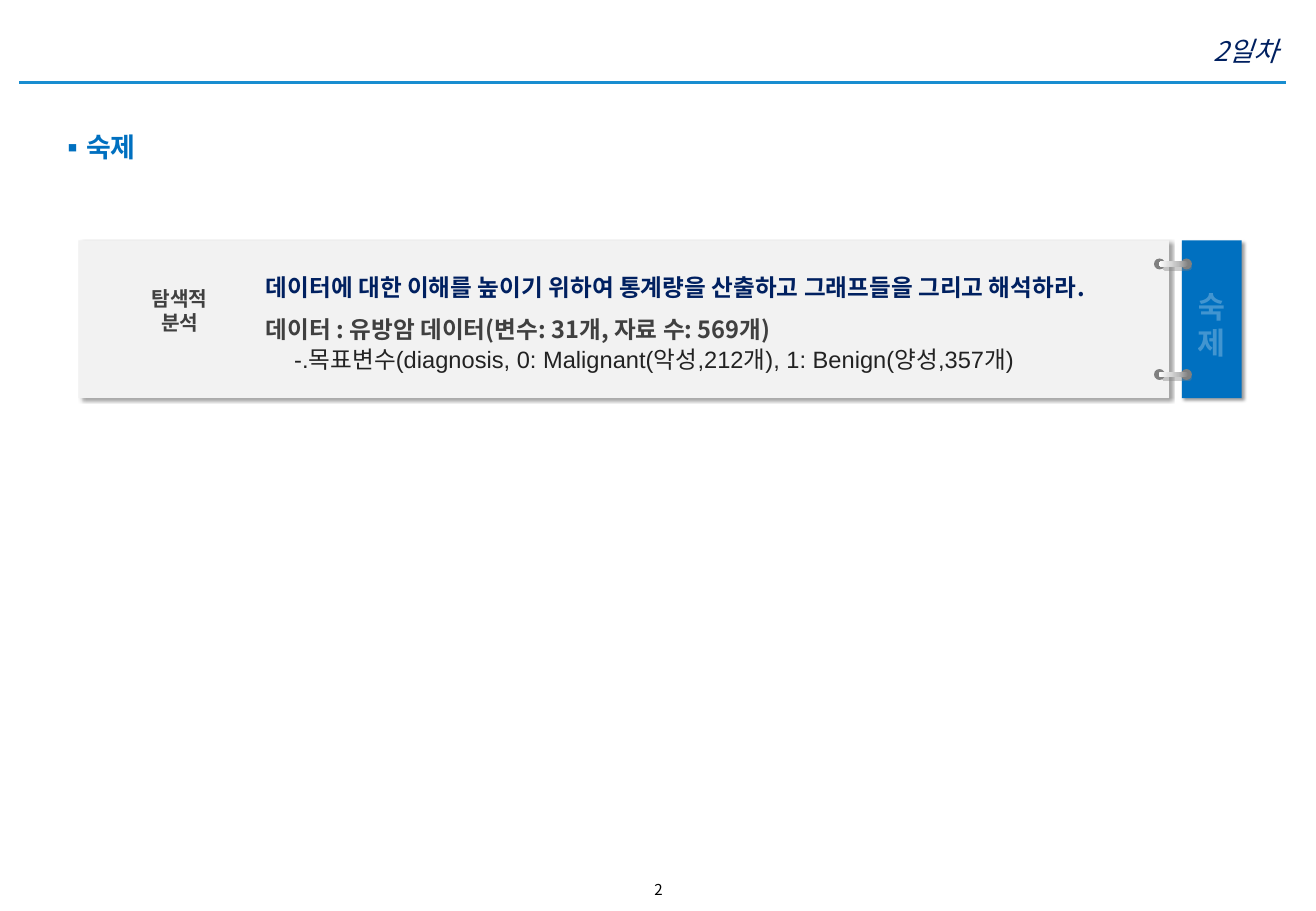
import pptx
import pptx.util
import pptx.dml.color
import pptx.enum.shapes
import pptx.enum.text
import pptx.oxml
import pptx.oxml.ns
from dataclasses import dataclass

Pt = pptx.util.Pt
RGB = pptx.dml.color.RGBColor.from_string
SHAPE = pptx.enum.shapes.MSO_SHAPE
ALIGN = pptx.enum.text.PP_ALIGN
ANCHOR = pptx.enum.text.MSO_ANCHOR
qn = pptx.oxml.ns.qn
NS = pptx.oxml.ns.nsdecls("a")


@dataclass
class Theme:
    font: str = "Noto Sans CJK KR"
    latin: str = "Arial"
    rule: str = "188DD0"
    navy: str = "002060"
    blue: str = "0070C0"
    card: str = "F2F2F2"
    ring: str = "808080"
    ring_mid: str = "BFBFBF"
    white: str = "FFFFFF"
    black: str = "000000"
    dark: str = "404040"
    detail: str = "222222"
    heading: float = 16
    tab: float = 18
    label: float = 12
    body: float = 14
    number: float = 8.9
    leading: float = 1.18


theme = Theme()


def add_block(kind, box, color, shadow=None):
    sp = s.shapes.add_shape(kind, *map(Pt, box))
    sp.fill.solid()
    sp.fill.fore_color.rgb = RGB(color)
    sp.line.fill.background()
    sp.shadow.inherit = False
    if shadow:
        shade, blur, dist = shadow
        sp._element.spPr.find(qn("a:effectLst")).append(pptx.oxml.parse_xml(
            f'<a:outerShdw {NS} blurRad="{Pt(blur)}" dist="{Pt(dist)}" dir="2700000" algn="tl" rotWithShape="0">'
            f'<a:srgbClr val="{shade}"><a:alpha val="40000"/></a:srgbClr></a:outerShdw>'))
    return sp


def add_text(box, lines, align, wrap=True):
    tf = s.shapes.add_textbox(*map(Pt, box)).text_frame
    tf.word_wrap = wrap
    tf.text = "\n".join(line[0] for line in lines)
    for p, (_, size, color, bold) in zip(tf.paragraphs, lines):
        p.alignment = align
        p.line_spacing = Pt(round(size * theme.leading, 1))
        for r in p.runs:
            r.font.size = Pt(size)
            r.font.bold = bold
            r.font.name = theme.font
            r.font.color.rgb = RGB(color)
            r.font._element.find(qn("a:latin")).addnext(
                pptx.oxml.parse_xml(f'<a:ea {NS} typeface="{theme.font}"/>'))
    return tf


prs = pptx.Presentation()
prs.slide_width, prs.slide_height = Pt(780), Pt(540)
s = prs.slides.add_slide(prs.slide_layouts[6])

rule = s.shapes.add_connector(
    pptx.enum.shapes.MSO_CONNECTOR.STRAIGHT, Pt(11.5), Pt(49), Pt(762.5), Pt(49))
rule.line.color.rgb = RGB(theme.rule)
rule.line.width = Pt(2)
rule._element.spPr.append(pptx.oxml.parse_xml(f"<a:effectLst {NS}/>"))

tf = add_text((316, 518.4, 148.5, 18),
              [("2", theme.number, theme.black, False)], ALIGN.CENTER)
tf.vertical_anchor = ANCHOR.MIDDLE

tf = add_text((471.6, 17.3, 293, 21.6),
              [("2일차", theme.heading, theme.navy, False)], ALIGN.RIGHT)
tf.paragraphs[0].runs[0].font.italic = True

tf = add_text((28, 74.2, 707, 35.3),
              [("숙제", theme.heading, theme.blue, True)], ALIGN.JUSTIFY)
pPr = tf.paragraphs[0]._p.get_or_add_pPr()
pPr.set("marL", str(Pt(11.5)))
pPr.set("indent", str(Pt(-11.5)))
for bullet in (f'<a:buClr {NS}><a:srgbClr val="{theme.blue}"/></a:buClr>',
               f'<a:buFont {NS} typeface="{theme.font}"/>',
               f'<a:buChar {NS} char="▪"/>'):
    pPr.append(pptx.oxml.parse_xml(bullet))

block_shadow = (theme.black, 2, 2)
add_block(SHAPE.RECTANGLE, (46.5, 142.5, 646.5, 93.5), theme.card, block_shadow)
add_block(SHAPE.RECTANGLE, (700.5, 142.5, 35.5, 93.5), theme.blue, block_shadow)

for ring_y in (156.5, 222):
    for hole_x in (684, 700):
        add_block(SHAPE.OVAL, (hole_x, ring_y - 3.25, 6.5, 6.5), theme.ring)
    bar = add_block(SHAPE.ROUNDED_RECTANGLE, (687, ring_y - 1.5, 17.3, 3),
                    theme.ring, (theme.ring, 0, 3))
    bar.adjustments[0] = 0.5
    stops = "".join(
        f'<a:gs pos="{pos}"><a:srgbClr val="{color}"/></a:gs>'
        for pos, color in ((0, theme.ring), (35000, theme.ring_mid), (100000, theme.white)))
    spPr = bar._element.spPr
    spPr.replace(spPr.find(qn("a:solidFill")), pptx.oxml.parse_xml(
        f'<a:gradFill {NS} rotWithShape="1"><a:gsLst>{stops}</a:gsLst>'
        f'<a:lin ang="10800000" scaled="0"/></a:gradFill>'))

tf = add_text((702.5, 167.5, 31.5, 51),
              [(mark, theme.tab, theme.white, True) for mark in "숙제"], ALIGN.CENTER, False)
for p in tf.paragraphs:
    color = p.runs[0].font._element.find(qn("a:solidFill"))[0]
    color.append(pptx.oxml.parse_xml(f'<a:alpha {NS} val="26000"/>'))

add_text((82, 166.5, 49, 36),
         [(word, theme.label, theme.dark, True) for word in ("탐색적", "분석")],
         ALIGN.CENTER, False)

tf = add_text((150.5, 155, 528, 93.5), [
    ("데이터에 대한 이해를 높이기 위하여 통계량을 산출하고 그래프들을 그리고 해석하라.",
     theme.body, theme.navy, True),
    ("데이터 : 유방암 데이터(변수: 31개, 자료 수: 569개)", theme.body, theme.dark, True),
    ("-.목표변수(diagnosis, 0: Malignant(악성,212개), 1: Benign(양성,357개)",
     theme.body, theme.detail, False),
], ALIGN.LEFT)
task, data, target = tf.paragraphs
task.line_spacing = data.line_spacing = Pt(20)
data.space_before = Pt(5)
target.line_spacing = Pt(17.5)
target._p.get_or_add_pPr().set("marL", str(Pt(16.8)))
target.runs[0].font.name = theme.latin

prs.save("out.pptx")
